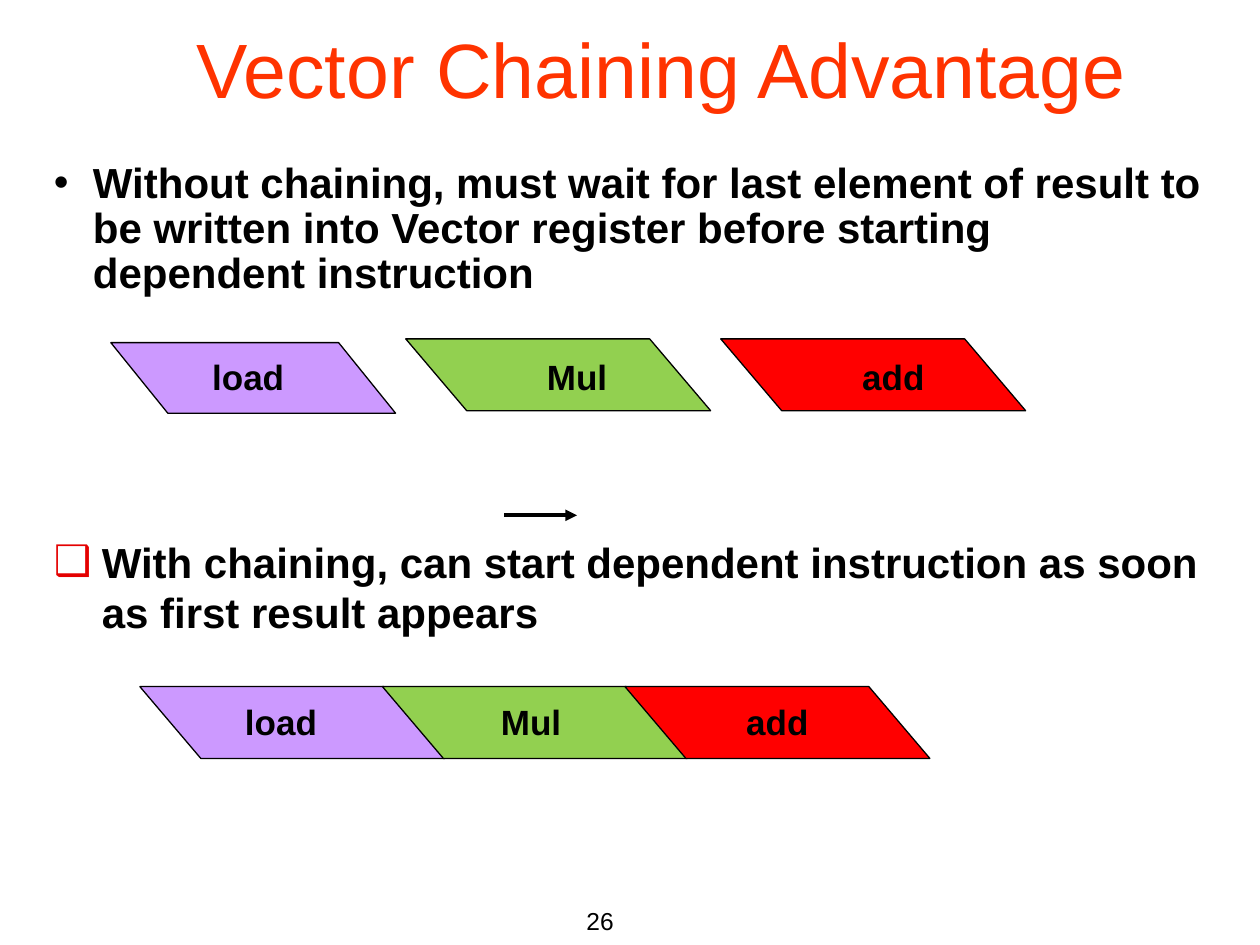
from lxml import etree
from pptx import Presentation
from pptx.dml.color import RGBColor
from pptx.enum.shapes import MSO_CONNECTOR, MSO_SHAPE
from pptx.enum.text import MSO_ANCHOR, MSO_AUTO_SIZE, PP_ALIGN
from pptx.oxml.ns import qn
from pptx.util import Inches, Pt

COLORS = {
    "black": "000000", "white": "FFFFFF", "title": "FF3300", "checkbox": "E40000",
    "load": "CC99FF", "Mul": "92D050", "add": "FF0000",
}
LABEL_WIDTHS = {"load": 0.78, "Mul": 0.68, "add": 0.70}


def color(name):
    return RGBColor.from_string(COLORS[name])


def write(text_frame, text, size, color_name="black", bold=False, align=PP_ALIGN.LEFT):
    text_frame.text = text
    paragraph = text_frame.paragraphs[0]
    paragraph.alignment = align
    font = paragraph.runs[0].font
    font.name, font.size, font.bold = "Arial", Pt(size), bold
    font.color.rgb = color(color_name)
    return paragraph


def add_text(slide, box, text, size, bold=True, align=PP_ALIGN.LEFT,
             anchor=MSO_ANCHOR.MIDDLE, wrap=True):
    text_frame = slide.shapes.add_textbox(*map(Inches, box)).text_frame
    text_frame.word_wrap = wrap
    text_frame.auto_size = MSO_AUTO_SIZE.NONE
    text_frame.vertical_anchor = anchor
    return write(text_frame, text, size, bold=bold, align=align)


def add_title(slide, box, text):
    title = slide.shapes.title
    title.left, title.top, title.width, title.height = map(Inches, box)
    title.fill.solid()
    title.fill.fore_color.rgb = color("white")
    title.text_frame.vertical_anchor = MSO_ANCHOR.MIDDLE
    title.text_frame.auto_size = MSO_AUTO_SIZE.NONE
    write(title.text_frame, text, 44, "title")


def add_bullet(slide, box, text, bullet, bullet_color, indent, line_spacing=1.0):
    paragraph = add_text(slide, box, text, 24)
    paragraph.line_spacing = line_spacing
    properties = paragraph._p.get_or_add_pPr()
    properties.set("marL", str(Inches(indent)))
    properties.set("indent", str(-Inches(indent)))
    bullet_fill = etree.SubElement(properties, qn("a:buClr"))
    etree.SubElement(bullet_fill, qn("a:srgbClr"), val=COLORS[bullet_color])
    etree.SubElement(properties, qn("a:buFont"), typeface="Arial")
    etree.SubElement(properties, qn("a:buChar"), char=bullet)


def add_stage(slide, box, name, label_offset, label_top):
    """Draw one pipeline stage, with its label placed from the stage's left edge."""
    stage = slide.shapes.add_shape(MSO_SHAPE.FLOWCHART_DATA, *map(Inches, box))
    stage.shadow.inherit = False
    stage._element.spPr.find(qn("a:xfrm")).set("flipV", "1")
    stage.fill.solid()
    stage.fill.fore_color.rgb = color(name)
    stage.line.color.rgb = color("black")
    stage.line.width = Pt(0.75)
    label_box = (box[0] + label_offset, label_top, LABEL_WIDTHS[name], 0.44)
    add_text(slide, label_box, name, 20, align=PP_ALIGN.CENTER, wrap=False)


def add_unchained_stages(slide, left, top):
    label_top = top + 0.08
    add_stage(slide, (left, top + 0.03, 2.26, 0.56), "load", 0.70, label_top)
    for index, name in enumerate(("Mul", "add")):
        box = (left + 2.34 + index * 2.5, top, 2.42, 0.57)
        add_stage(slide, box, name, 1.02, label_top)


def add_chained_stages(slide, left, top):
    offsets = {"load": 0.73, "Mul": 0.84, "add": 0.86}
    for index, (name, offset) in enumerate(offsets.items()):
        box = (left + index * 1.925, top, 2.42, 0.57)
        add_stage(slide, box, name, offset, top + 0.06)


def add_time_arrow(slide, left, top, length):
    arrow = slide.shapes.add_connector(
        MSO_CONNECTOR.STRAIGHT, Inches(left), Inches(top), Inches(left + length), Inches(top))
    arrow.line.color.rgb = color("black")
    arrow.line.width = Pt(2.25)
    etree.SubElement(arrow.line._get_or_add_ln(), qn("a:tailEnd"), type="triangle")
    etree.SubElement(arrow._element.spPr, qn("a:effectLst"))


def main():
    presentation = Presentation()
    presentation.slide_width, presentation.slide_height = Inches(10), Inches(7.5)
    slide = presentation.slides.add_slide(presentation.slide_layouts[5])

    add_title(slide, (1.46, 0, 8.27, 1.07), "Vector Chaining Advantage")
    add_bullet(slide, (0.33, 1.23, 9.33, 1.19),
               "Without chaining, must wait for last element of result to be written "
               "into Vector register before starting dependent instruction",
               "•", "black", 0.31, line_spacing=0.9)
    add_unchained_stages(slide, 0.88, 2.69)
    add_time_arrow(slide, 4, 4.09, 0.58)
    add_bullet(slide, (0.33, 4.2, 9.33, 0.91),
               "With chaining, can start dependent instruction as soon as first result appears",
               "❑", "checkbox", 0.38)
    add_chained_stages(slide, 1.11, 5.45)
    add_text(slide, (2.89, 7.14, 2.08, 0.5), "26", 14, bold=False,
             align=PP_ALIGN.RIGHT, anchor=MSO_ANCHOR.TOP)
    presentation.save("out.pptx")


if __name__ == "__main__":
    main()
